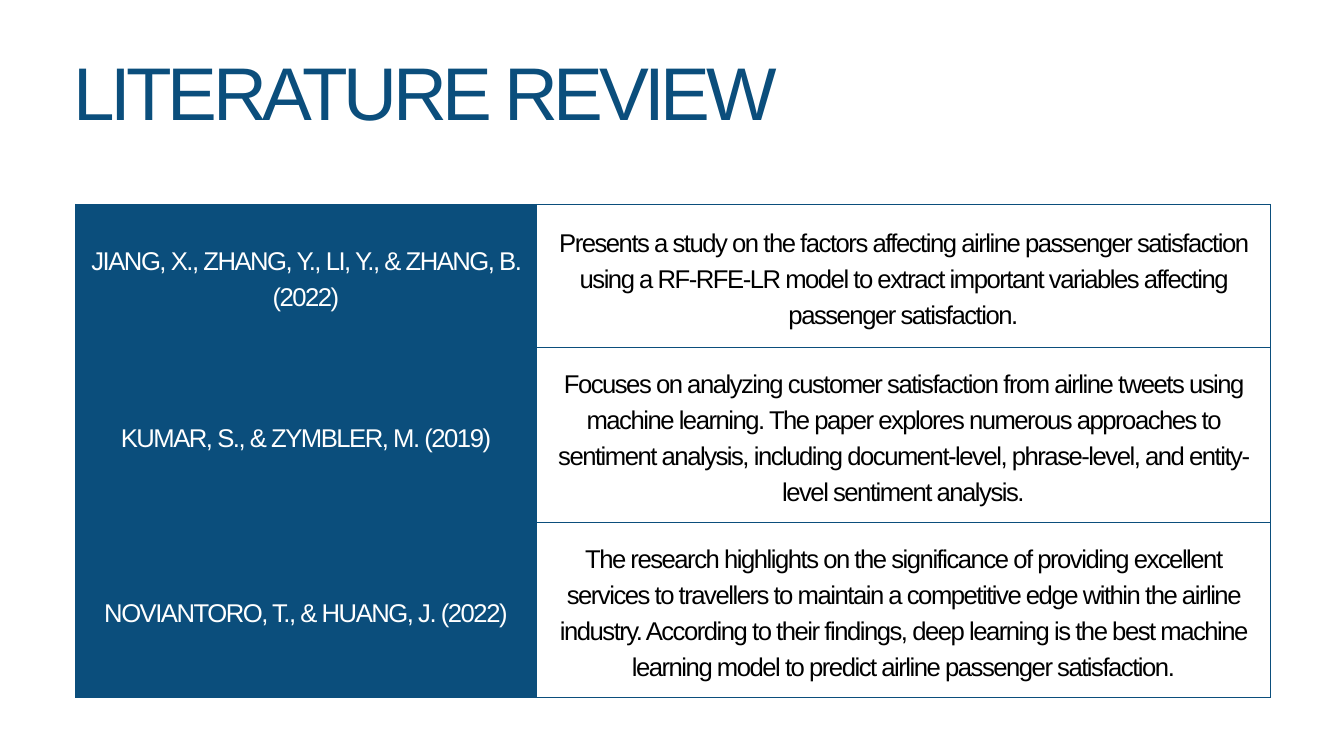
from typing import NamedTuple, Optional

from lxml.etree import SubElement
from pptx import Presentation
from pptx.dml.color import RGBColor
from pptx.enum.text import MSO_ANCHOR as Anchor, MSO_AUTO_SIZE as AutoSize, PP_ALIGN as Align
from pptx.oxml.ns import qn
from pptx.util import Pt

PX = 9525  # EMU per px, 96 px to the inch
NAVY = RGBColor(0x0B, 0x4E, 0x7C)
WHITE = RGBColor(0xFF, 0xFF, 0xFF)
BLACK = RGBColor(0x00, 0x00, 0x00)
FONT = "Arial"


class TextStyle(NamedTuple):
    size: float
    line_height: float
    tracking: float
    color: RGBColor
    align: Align


class Study(NamedTuple):
    citation: str
    summary: str
    height: int


TITLE_STYLE = TextStyle(80, 96, -4.8, NAVY, Align.LEFT)
CITATION_STYLE = TextStyle(27.5, 38.5, -1.6, WHITE, Align.CENTER)
SUMMARY_STYLE = CITATION_STYLE._replace(color=BLACK)

COLUMN_WIDTHS = (658, 1049)
CELL_INSET = 20
BORDER_WIDTH = 1.5

STUDIES = (
    Study(
        "JIANG, X., ZHANG, Y., LI, Y., & ZHANG, B. (2022)",
        "Presents a study on the factors affecting airline passenger satisfaction "
        "using a RF-RFE-LR model to extract important variables affecting "
        "passenger satisfaction.",
        205,
    ),
    Study(
        "KUMAR, S., & ZYMBLER, M. (2019)",
        "Focuses on analyzing customer satisfaction from airline tweets using "
        "machine learning. The paper explores numerous approaches to sentiment "
        "analysis, including document-level, phrase-level, and entity-level "
        "sentiment analysis.",
        250,
    ),
    Study(
        "NOVIANTORO, T., & HUANG, J. (2022)",
        "The research highlights on the significance of providing excellent "
        "services to travellers to maintain a competitive edge within the airline "
        "industry. According to their findings, deep learning is the best machine "
        "learning model to predict airline passenger satisfaction.",
        250,
    ),
)


def px(length: int) -> int:
    return length * PX


def write_text(frame, text: str, style: TextStyle) -> None:
    frame.text = text
    paragraph = frame.paragraphs[0]
    paragraph.alignment = style.align
    paragraph.line_spacing = Pt(style.line_height)
    run = paragraph.runs[0]
    run.font.name = FONT
    run.font.size = Pt(style.size)
    run.font.color.rgb = style.color
    run.font._element.set("spc", str(round(style.tracking * 100)))


def add_borders(cell) -> None:
    properties = cell._tc.get_or_add_tcPr()
    for position, side in enumerate(("lnL", "lnR", "lnT", "lnB")):
        line = SubElement(properties, qn(f"a:{side}"), w=str(Pt(BORDER_WIDTH)))
        color = SubElement(SubElement(line, qn("a:solidFill")), qn("a:srgbClr"))
        color.set("val", str(NAVY))
        properties.insert(position, line)  # borders come before the fill


def fill_cell(cell, text: str, style: TextStyle, fill: Optional[RGBColor]) -> None:
    cell.margin_left = cell.margin_right = px(CELL_INSET)
    cell.margin_top = cell.margin_bottom = px(CELL_INSET)
    cell.vertical_anchor = Anchor.MIDDLE
    if fill is None:
        cell.fill.background()
    else:
        cell.fill.solid()
        cell.fill.fore_color.rgb = fill
    write_text(cell.text_frame, text, style)
    add_borders(cell)


def add_title(slide) -> None:
    title = slide.shapes.add_textbox(px(105), px(66), px(1707), px(153)).text_frame
    title.margin_left = title.margin_right = title.margin_top = title.margin_bottom = 0
    title.word_wrap = True
    title.auto_size = AutoSize.SHAPE_TO_FIT_TEXT
    write_text(title, "LITERATURE REVIEW", TITLE_STYLE)


def add_studies(slide) -> None:
    width = sum(COLUMN_WIDTHS)
    height = sum(study.height for study in STUDIES)
    table = slide.shapes.add_table(
        len(STUDIES), len(COLUMN_WIDTHS), px(108), px(292), px(width), px(height)
    ).table
    table.first_row = table.horz_banding = False
    for column, column_width in zip(table.columns, COLUMN_WIDTHS):
        column.width = px(column_width)
    for row, study in zip(table.rows, STUDIES):
        row.height = px(study.height)
        citation, summary = row.cells
        fill_cell(citation, study.citation, CITATION_STYLE, NAVY)
        fill_cell(summary, study.summary, SUMMARY_STYLE, None)


def main() -> None:
    deck = Presentation()
    deck.slide_width, deck.slide_height = px(1920), px(1080)
    slide = deck.slides.add_slide(deck.slide_layouts[6])

    # Table of studies
    add_studies(slide)

    # Heading
    add_title(slide)

    deck.save("out.pptx")


if __name__ == "__main__":
    main()
